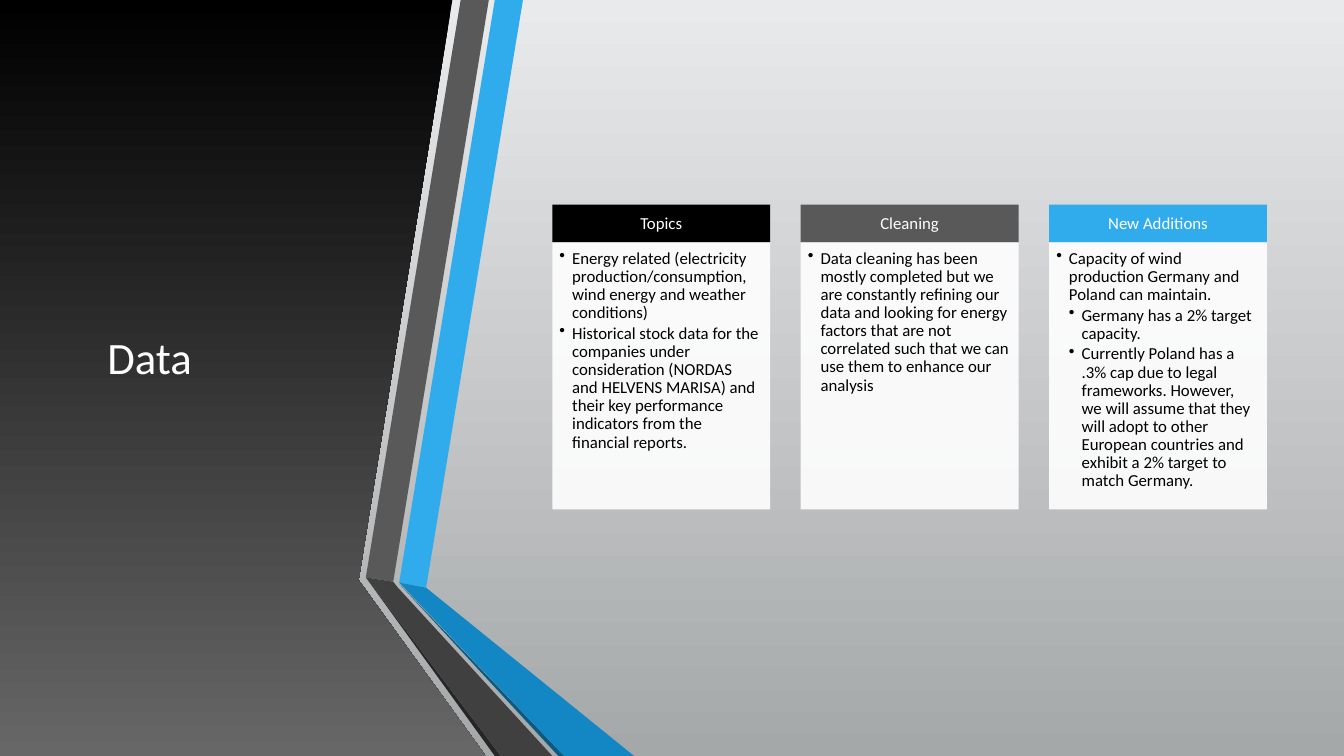
from lxml import etree
from pptx import Presentation
from pptx.dml.color import RGBColor
from pptx.enum import shapes, text
from pptx.oxml.ns import qn
from pptx.util import Cm, Pt

BLACK, WHITE = RGBColor(0, 0, 0), RGBColor(255, 255, 255)
BLUE, GREY = RGBColor(0x30, 0xAC, 0xEC), RGBColor(0x59, 0x59, 0x59)
DEEP_BLUE, DARK_GREY = RGBColor(0x12, 0x87, 0xC3), RGBColor(0x40, 0x40, 0x40)
NAVY, CHARCOAL = RGBColor(0x0C, 0x5A, 0x82), RGBColor(0x26, 0x26, 0x26)
PANEL_END = RGBColor(0x67, 0x67, 0x67)
BG_TOP, BG_BOTTOM = RGBColor(0xE9, 0xEA, 0xEB), RGBColor(0xA5, 0xA8, 0xA9)
FONT = "Calibri"

# Content: heading, colour, bullets as (level, text)
TITLE = "Data"
CARDS = [
    ("Topics", BLACK, [
        (0, "Energy related (electricity production/consumption, wind energy "
            "and weather conditions)"),
        (0, "Historical stock data for the companies under consideration "
            "(NORDAS and HELVENS MARISA) and their key performance indicators "
            "from the financial reports.")]),
    ("Cleaning", GREY, [
        (0, "Data cleaning has been mostly completed but we are constantly "
            "refining our data and looking for energy factors that are not "
            "correlated such that we can use them to enhance our analysis")]),
    ("New Additions", BLUE, [
        (0, "Capacity of wind production Germany and Poland can maintain."),
        (1, "Germany has a 2% target capacity."),
        (1, "Currently Poland has a .3% cap due to legal frameworks. However, "
            "we will assume that they will adopt to other European countries "
            "and exhibit a 2% target to match Germany.")]),
]

# Outlines in centimetres
W, H = 33.87, 19.05
PANEL = [(0, 0), (11.4, 0), (9.04, 14.62), (12.24, H), (0, H)]
RIBBONS = [
    (BLUE, [(10.06, 14.68), (10.74, 14.81), (13.18, 0), (12.47, 0)]),
    (GREY, [(12.32, 0), (11.61, 0), (9.22, 14.55), (9.91, 14.66)]),
    (CHARCOAL, [(9.22, 14.55), (12.47, H), (12.62, H)]),
    (NAVY, [(10.06, 14.71), (14.07, H), (14.22, H)]),
    (DEEP_BLUE, [(10.06, 14.68), (14.22, H), (15.98, H), (10.74, 14.81)]),
    (DARK_GREY, [(9.22, 14.55), (12.62, H), (13.92, H), (10.03, 14.81),
                 (9.91, 14.66)]),
]
CARD_X, CARD_W, CARD_STEP = 13.92, 5.49, 6.26
HEAD_Y, HEAD_H, BODY_H = 5.16, 0.95, 6.73
INDENT = 0.32


def set_all(obj, **values):
    for name, value in values.items():
        setattr(obj, name, value)


def shade(fill, top, bottom):
    fill.gradient()
    fill.gradient_angle = 270
    for stop, color in zip(fill.gradient_stops, (top, bottom)):
        stop.color.rgb = color


def paint(sp, color=None):
    sp.shadow.inherit = False
    sp.line.fill.background()
    if color is not None:
        sp.fill.solid()
        sp.fill.fore_color.rgb = color


def outline(points):
    first, *rest = [(Cm(x), Cm(y)) for x, y in points]
    fb = s.shapes.build_freeform(*first)
    fb.add_line_segments(rest, close=True)
    return fb.convert_to_shape()


def box(x, y, w, h, color, **frame):
    sp = s.shapes.add_shape(shapes.MSO_SHAPE.RECTANGLE,
                            Cm(x), Cm(y), Cm(w), Cm(h))
    paint(sp, color)
    set_all(sp.text_frame, word_wrap=True, **frame)
    return sp


def write(p, words, size, color, **para):
    r = p.add_run()
    r.text = words
    set_all(r.font, name=FONT, size=Pt(size))
    r.font.color.rgb = color
    set_all(p, **para)


def bullet(p, level):
    pPr = p._p.get_or_add_pPr()
    pPr.set("marL", str(Cm(INDENT * (level + 1))))
    pPr.set("indent", str(-Cm(INDENT)))
    etree.SubElement(pPr, qn("a:buChar")).set("char", "•")


prs = Presentation()
set_all(prs, slide_width=Cm(W), slide_height=Cm(H))
s = prs.slides.add_slide(prs.slide_layouts[5])
shade(s.background.fill, BG_TOP, BG_BOTTOM)

# Dark panel with the title on top
panel = outline(PANEL)
paint(panel)
shade(panel.fill, BLACK, PANEL_END)

title = s.shapes.title
s.shapes._spTree.append(title._element)
set_all(title, left=Cm(0.1), top=Cm(1.9), width=Cm(7.34), height=Cm(14.18))
set_all(title.text_frame, word_wrap=True,
        vertical_anchor=text.MSO_ANCHOR.MIDDLE)
write(title.text_frame.paragraphs[0], TITLE, 32, WHITE,
      alignment=text.PP_ALIGN.CENTER)

# Folded ribbons
for color, points in RIBBONS:
    paint(outline(points), color)

# Cards
for i, (heading, color, items) in enumerate(CARDS):
    x = CARD_X + i * CARD_STEP
    head = box(x, HEAD_Y, CARD_W, HEAD_H, color,
               vertical_anchor=text.MSO_ANCHOR.MIDDLE)
    write(head.text_frame.paragraphs[0], heading, 12, WHITE,
          alignment=text.PP_ALIGN.CENTER, line_spacing=0.9)

    body = box(x, HEAD_Y + HEAD_H, CARD_W, BODY_H, WHITE,
               vertical_anchor=text.MSO_ANCHOR.TOP,
               margin_left=Cm(0.18), margin_top=Cm(0.18),
               margin_right=Cm(0.23), margin_bottom=Cm(0.25))
    rgb = body.fill._xPr.find(".//" + qn("a:srgbClr"))
    etree.SubElement(rgb, qn("a:alpha")).set("val", "90000")
    tf = body.text_frame
    for n, (level, words) in enumerate(items):
        p = tf.add_paragraph() if n else tf.paragraphs[0]
        write(p, words, 12, BLACK, level=level, line_spacing=0.9,
              space_after=Pt(1.8), alignment=text.PP_ALIGN.LEFT)
        bullet(p, level)

prs.save("out.pptx")
